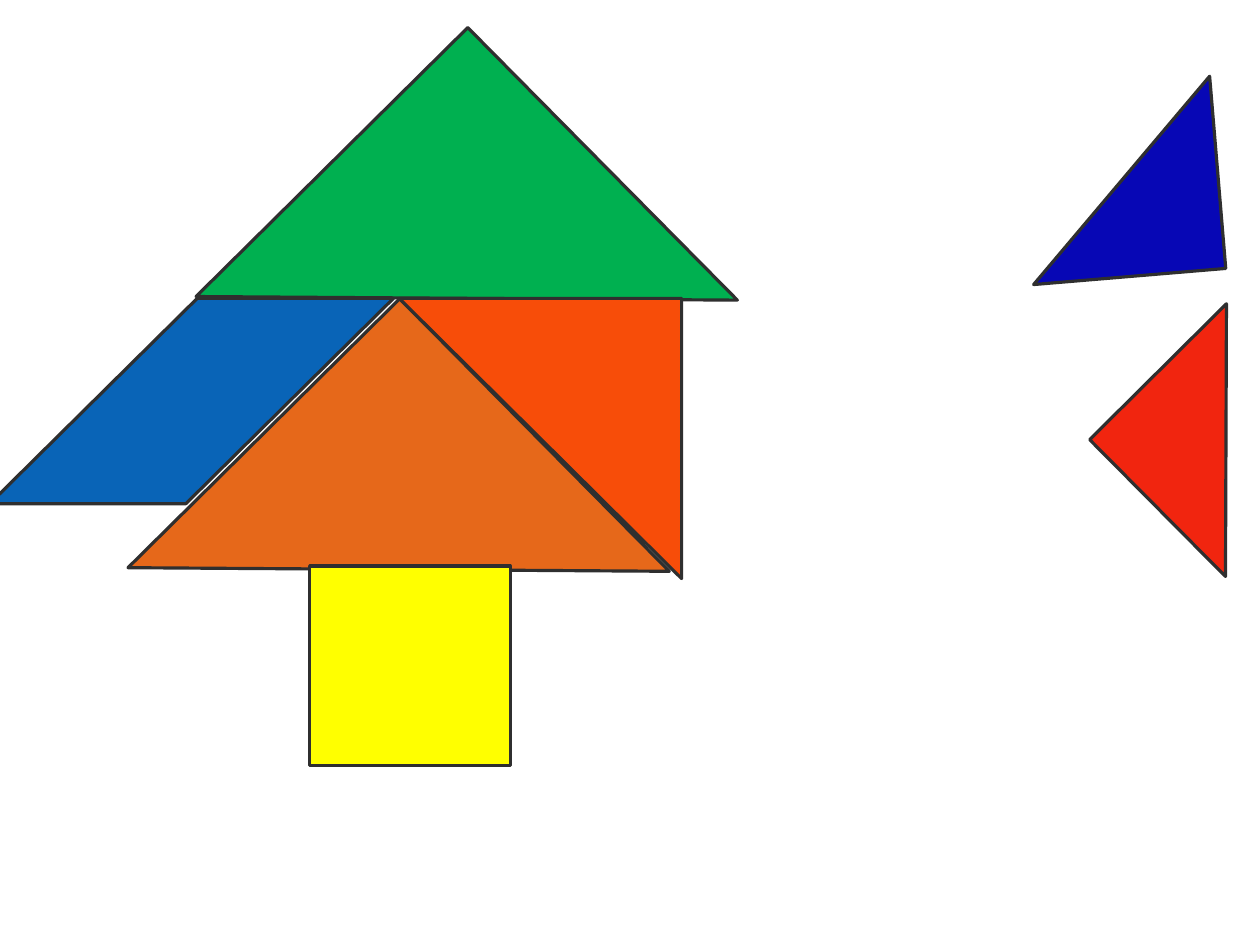
from dataclasses import dataclass

from pptx import Presentation
from pptx import util as u
from pptx.dml.color import RGBColor
from pptx.enum import shapes

SLIDE_SIZE = (11.11, 8.33)


@dataclass(frozen=True)
class Theme:
    """Colours and line weight of the tangram."""
    orange: str = "E6681A"
    green: str = "00B050"
    red: str = "F1250F"
    navy: str = "0707B5"
    vermilion: str = "F74D09"
    yellow: str = "FFFF00"
    blue: str = "0964B7"
    outline: str = "2F2F2F"
    outline_width: float = 2


THEME = Theme()
TRIANGLE = shapes.MSO_SHAPE.RIGHT_TRIANGLE
SQUARE = shapes.MSO_SHAPE.RECTANGLE
LARGE, SMALL = (3.37, 3.38), (1.7, 1.7)

# preset, left, top, (width, height), rotation, colour; back to front
PIECES = [
    (TRIANGLE, 1.83, 3.33, LARGE, 135.3, THEME.orange),
    (TRIANGLE, 2.43, 0.94, LARGE, 135.3, THEME.green),
    (TRIANGLE, 9.96, 3.03, SMALL, 45.2, THEME.red),
    (TRIANGLE, 9.04, 0.74, SMALL, 265.2, THEME.navy),
    (TRIANGLE, 3.52, 2.63, (2.49, 2.47), 180, THEME.vermilion),
    (SQUARE, 2.73, 4.99, (1.77, 1.76), 0, THEME.yellow),
]

# The parallelogram: lower left corner, side length, slant, height
LEFT, BOTTOM, SIDE, SLANT, HEIGHT = -0.09, 4.44, 1.73, 1.83, 1.81


def paint(piece, colour):
    """Give a piece its flat fill and the common outline."""
    piece.shadow.inherit = False
    piece.fill.solid()
    piece.fill.fore_color.rgb = RGBColor.from_string(colour)
    piece.line.color.rgb = RGBColor.from_string(THEME.outline)
    piece.line.width = u.Pt(THEME.outline_width)


def add_piece(slide, preset, left, top, size, rotation, colour):
    """Place one triangle or square of the tangram."""
    piece = slide.shapes.add_shape(preset, *map(u.Inches, (left, top, *size)))
    piece.rotation = rotation
    paint(piece, colour)


def add_parallelogram(slide):
    """Draw the slanted piece from its corner, side and slant."""
    top = BOTTOM - HEIGHT
    corners = [(LEFT + SLANT, top), (LEFT + SLANT + SIDE, top), (LEFT + SIDE, BOTTOM)]
    outline = slide.shapes.build_freeform(LEFT, BOTTOM, scale=u.Inches(1))
    outline = slide.shapes.build_freeform(u.Inches(LEFT), u.Inches(BOTTOM))
    outline.add_line_segments([(u.Inches(x), u.Inches(y)) for x, y in corners], close=True)
    paint(outline.convert_to_shape(), THEME.blue)


def main():
    """Build the slide and save it."""
    deck = Presentation()
    deck.slide_width, deck.slide_height = map(u.Inches, SLIDE_SIZE)
    slide = deck.slides.add_slide(deck.slide_layouts[6])
    for piece in PIECES:
        add_piece(slide, *piece)
    add_parallelogram(slide)
    deck.save("out.pptx")


main()
